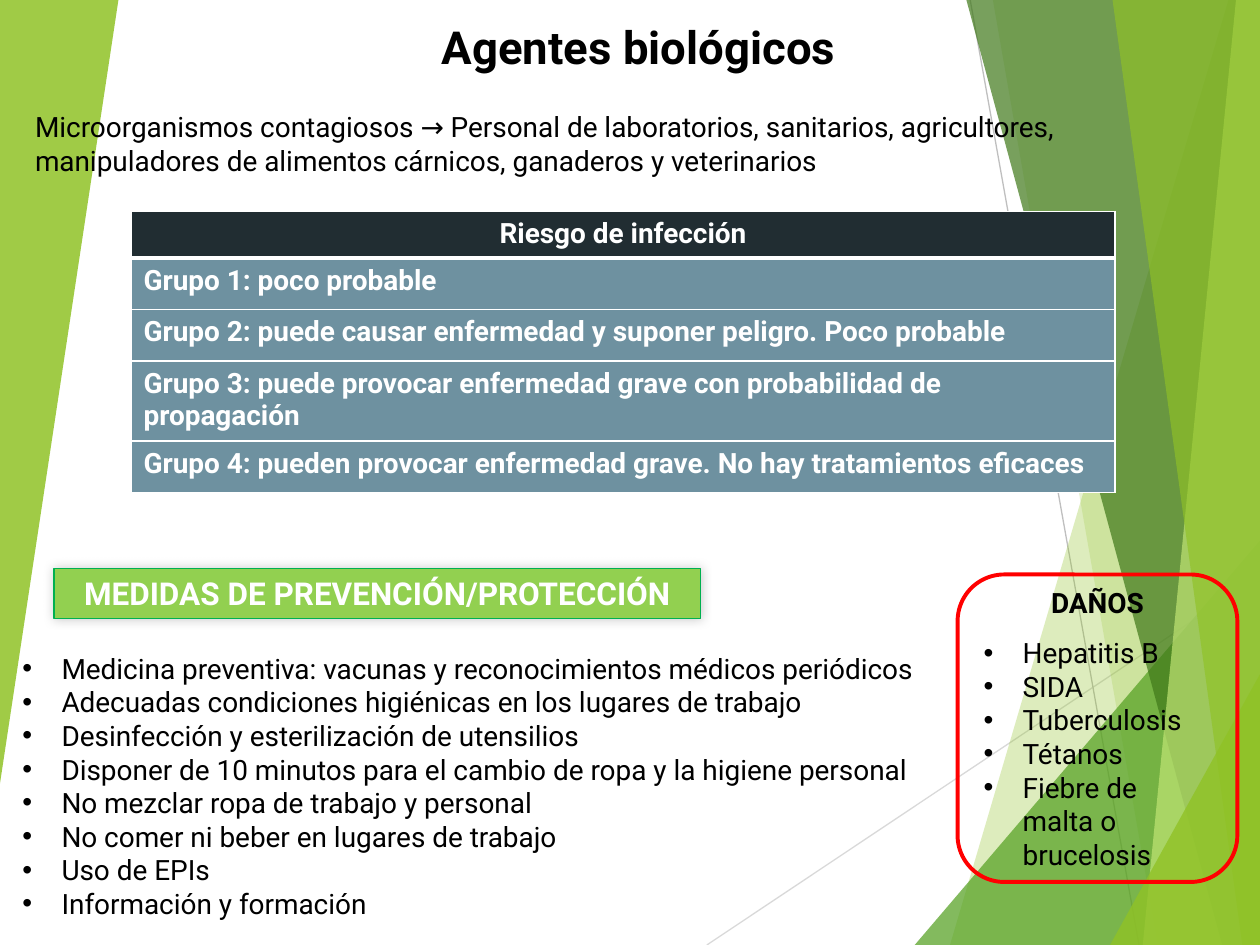
from dataclasses import dataclass
from lxml.etree import SubElement
from pptx import Presentation
from pptx.dml.color import RGBColor
from pptx.enum.shapes import MSO_CONNECTOR, MSO_SHAPE
from pptx.enum.text import MSO_ANCHOR, PP_ALIGN
from pptx.oxml.ns import qn
from pptx.util import Inches, Pt


@dataclass(frozen=True)
class Theme:
    font: str = "Roboto"
    title: int = 26
    label: int = 18
    body: int = 16
    black: str = "000000"
    white: str = "FFFFFF"
    green: str = "90C226"
    leaf: str = "54A021"
    dark: str = "3F7819"
    pale: str = "C0E474"
    banner: str = "92D050"
    edge: str = "00B050"
    red: str = "FF0000"
    head: str = "212D32"
    row: str = "6E91A0"
    light: str = "D9D9D9"
    gray: str = "BFBFBF"


T = Theme()


def rgb(code):
    return RGBColor.from_string(code)


def inches(*sizes):
    return [Inches(size) for size in sizes]


def child(parent, tag, **attrs):
    return SubElement(parent, qn(tag), {key: str(val) for key, val in attrs.items()})


def write(frame, *lines, size=T.body, color=T.black, bold=False,
          align=PP_ALIGN.LEFT, anchor=MSO_ANCHOR.TOP, bullet=False, after=0, more=False):
    frame.word_wrap = True
    frame.vertical_anchor = anchor
    for num, line in enumerate(lines):
        para = frame.add_paragraph() if num or more else frame.paragraphs[0]
        para.alignment = align
        if bullet:
            props = para._p.get_or_add_pPr()
            props.set("marL", str(Inches(0.31)))
            props.set("indent", str(-Inches(0.31)))
            child(props, "a:buFont", typeface="Arial")
            child(props, "a:buChar", char="•")
        if after:
            para.space_after = Pt(after)
        run = para.add_run()
        run.text = line
        font = run.font
        font.name, font.size, font.bold = T.font, Pt(size), bold
        font.color.rgb = rgb(color)


def add_text(slide, box, *lines, **form):
    write(slide.shapes.add_textbox(*inches(*box)).text_frame, *lines, **form)


def add_ray(slide, start, end, color):
    ray = slide.shapes.add_connector(MSO_CONNECTOR.STRAIGHT, *inches(*start, *end))
    ray.line.color.rgb = rgb(color)
    ray.line.width = Pt(0.75)
    child(ray._element.spPr, "a:effectLst")


def add_shard(slide, points, color, alpha):
    first, *rest = [inches(*point) for point in points]
    pen = slide.shapes.build_freeform(*first)
    pen.add_line_segments(rest)
    shard = pen.convert_to_shape()
    shard.shadow.inherit = False
    shard.fill.solid()
    shard.fill.fore_color.rgb = rgb(color)
    tint = shard._element.spPr.find(qn("a:solidFill"))[0]
    child(tint, "a:alpha", val=alpha * 1000)
    shard.line.fill.background()


def add_decor(slide, box):
    x, y, w, h = box
    right, foot = x + w, y + h
    add_ray(slide, (x + 5.61, foot), (right, y + 4.57), T.light)
    add_ray(slide, (x + 7.7, y), (x + 9.04, foot), T.gray)
    shards = [
        (9.75, 0, 7.54, T.green, 30),
        (7.88, 0, 9.19, T.green, 20),
        (w, 4.29, 7.26, T.leaf, 72),
        (7.67, 0, 9.7, T.dark, 70),
        (9.81, 0, 9.07, T.pale, 70),
        (8.83, 0, 9.86, T.green, 65),
        (w, 5.35, 8.81, T.green, 80),
    ]
    for top, drop, base, color, alpha in shards:
        points = [(x + top, y + drop), (x + base, foot), (right, foot), (right, y + drop)]
        add_shard(slide, points, color, alpha)
    add_shard(slide, [(x, y), (x + 0.94, y), (x, y + 6.22)], T.green, 85)


def add_banner(slide, box, text):
    shape = slide.shapes.add_shape(MSO_SHAPE.RECTANGLE, *inches(*box))
    shape.fill.solid()
    shape.fill.fore_color.rgb = rgb(T.banner)
    shape.line.color.rgb = rgb(T.edge)
    shape.line.width = Pt(0.75)
    shape.shadow.inherit = False
    effect = shape._element.spPr.find(qn("a:effectLst"))
    glow = child(effect, "a:outerShdw", blurRad=Pt(6), dist=0, dir=225 * 60000)
    child(child(glow, "a:srgbClr", val=T.black), "a:alpha", val=20000)
    write(shape.text_frame, text, size=T.label, color=T.white, bold=True,
          align=PP_ALIGN.CENTER)


def add_harm(slide, box, title, items):
    shape = slide.shapes.add_shape(MSO_SHAPE.ROUNDED_RECTANGLE, *inches(*box))
    shape.shadow.inherit = False
    shape.fill.background()
    shape.line.color.rgb = rgb(T.red)
    shape.line.width = Pt(2.25)
    frame = shape.text_frame
    write(frame, title, bold=True, align=PP_ALIGN.CENTER, after=9.4)
    write(frame, *items, bullet=True, anchor=MSO_ANCHOR.MIDDLE, more=True)


def add_border(cell, side, width):
    line = child(cell._tc.get_or_add_tcPr(), "a:ln" + side, w=Pt(width))
    child(child(line, "a:solidFill"), "a:srgbClr", val=T.white)


def add_risks(slide, box, title, groups):
    texts = [title, *groups]
    table = slide.shapes.add_table(len(texts), 1, *inches(*box)).table
    for num, text in enumerate(texts):
        table.rows[num].height = Inches(0.41 if num else 0.31)
        cell = table.cell(num, 0)
        for side in "LRTB":
            thick = (num, side) in [(0, "B"), (1, "T")]
            add_border(cell, side, 3 if thick else 1)
        cell.fill.solid()
        cell.fill.fore_color.rgb = rgb(T.row if num else T.head)
        write(cell.text_frame, text, color=T.white, bold=True,
              align=PP_ALIGN.LEFT if num else PP_ALIGN.CENTER)


def main():
    deck = Presentation()
    deck.slide_width, deck.slide_height = inches(10, 7.5)
    slide = deck.slides.add_slide(deck.slide_layouts[6])
    add_decor(slide, (0, 0, 10, 7.5))
    add_text(slide, (0.11, 0.05, 9.92, 0.63), "Agentes biológicos", size=T.title,
             bold=True, align=PP_ALIGN.CENTER, anchor=MSO_ANCHOR.MIDDLE)
    add_banner(slide, (0.43, 4.51, 5.13, 0.4), "MEDIDAS DE PREVENCIÓN/PROTECCIÓN")
    add_harm(slide, (7.6, 4.56, 2.22, 2.44), "DAÑOS", [
        "Hepatitis B",
        "SIDA",
        "Tuberculosis",
        "Tétanos",
        "Fiebre de malta o brucelosis",
    ])
    add_text(
        slide, (0.08, 5.12, 9.21, 2.26),
        "Medicina preventiva: vacunas y reconocimientos médicos periódicos",
        "Adecuadas condiciones higiénicas en los lugares de trabajo",
        "Desinfección y esterilización de utensilios",
        "Disponer de 10 minutos para el cambio de ropa y la higiene personal",
        "No mezclar ropa de trabajo y personal",
        "No comer ni beber en lugares de trabajo",
        "Uso de EPIs",
        "Información y formación",
        bullet=True,
    )
    add_risks(slide, (1.04, 1.68, 7.81, 1.95), "Riesgo de infección", [
        "Grupo 1: poco probable",
        "Grupo 2: puede causar enfermedad y suponer peligro. Poco probable",
        "Grupo 3: puede provocar enfermedad grave con probabilidad de propagación",
        "Grupo 4: pueden provocar enfermedad grave. No hay tratamientos eficaces",
    ])
    add_text(slide, (0.18, 0.82, 9.8, 0.64),
             "Microorganismos contagiosos → Personal de laboratorios, sanitarios, "
             "agricultores, manipuladores de alimentos cárnicos, ganaderos y veterinarios")
    deck.save("out.pptx")


if __name__ == "__main__":
    main()
